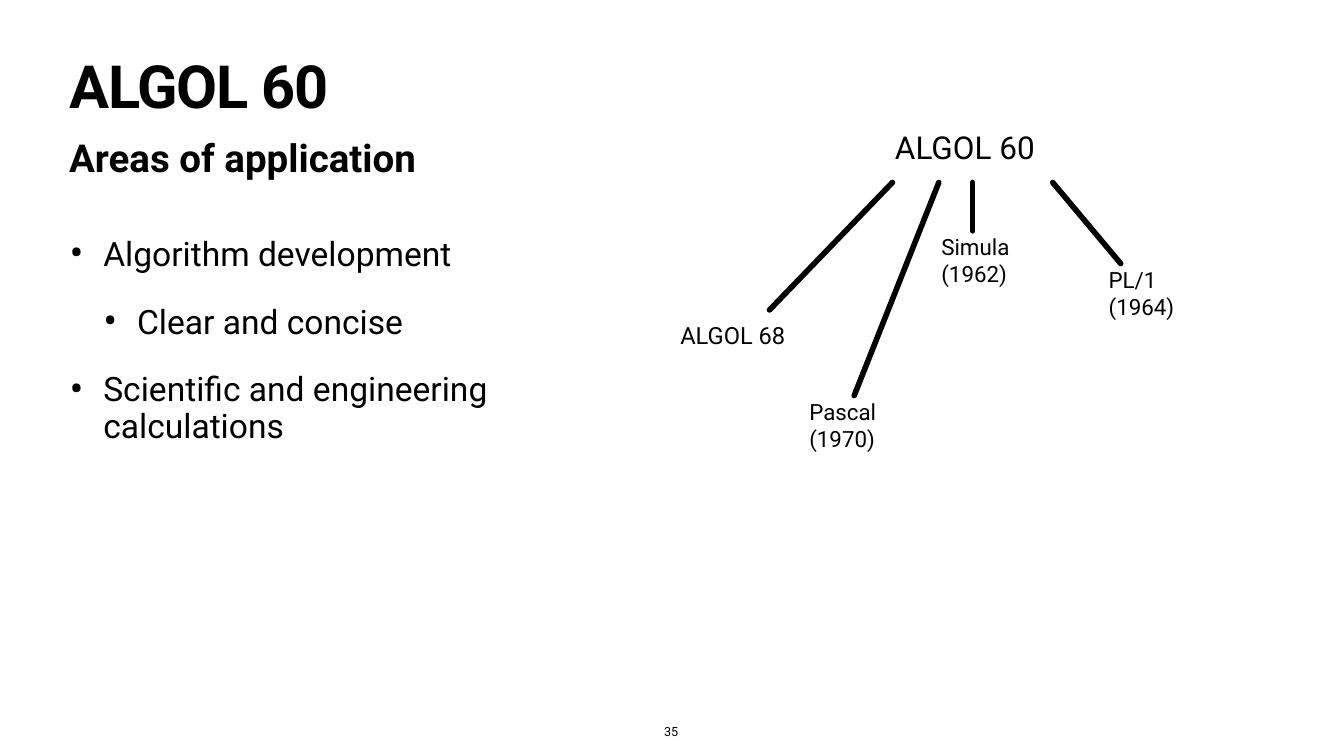
from dataclasses import dataclass

import pptx
import pptx.dml.color
import pptx.enum.shapes
import pptx.enum.text
import pptx.oxml
import pptx.oxml.ns
import pptx.util
from pptx.util import Inches


@dataclass(frozen=True)
class Theme:
    font: str = "Roboto"
    ink: pptx.dml.color.RGBColor = pptx.dml.color.RGBColor(0, 0, 0)
    paper: pptx.dml.color.RGBColor = pptx.dml.color.RGBColor(255, 255, 255)
    title: float = 85
    subtitle: float = 55
    body: float = 48
    root: float = 45
    sibling: float = 33.8
    leaf: float = 31.9
    number: float = 18
    branch: float = 8


THEME = Theme()


def add_frame(page, box, inset):
    left, top, width, height = box
    shape = page.shapes.add_textbox(Inches(left), Inches(top), Inches(width), Inches(height))
    frame = shape.text_frame
    frame.word_wrap = True
    frame.margin_left = frame.margin_right = Inches(inset)
    frame.margin_top = frame.margin_bottom = Inches(inset)
    return frame


def add_span(para, text, size, bold=False):
    span = para.add_run()
    span.text = text
    span.font.name = THEME.font
    span.font.size = pptx.util.Pt(size)
    span.font.bold = bold
    span.font.color.rgb = THEME.ink


def add_label(page, box, text, size, bold=False, inset=0.05):
    """Add a one-paragraph text box and return its frame."""
    frame = add_frame(page, box, inset)
    add_span(frame.paragraphs[0], text, size, bold)
    return frame


def add_heading(page, box, title, subtitle):
    left, top, width, _ = box
    frame = add_label(page, (left, top, width, 1.57), title, THEME.title, True, 0.06)
    para = frame.paragraphs[0]
    para.line_spacing = 0.8
    para.runs[0].font._element.set("spc", "-170")
    add_label(page, (left, top + 1.42, width, 1.02), subtitle, THEME.subtitle, True)


def add_bullets(page, box, items):
    """Fill the box with (level, text) bullet items."""
    indent = Inches(0.67)
    bullet = (
        ("a:buSzPct", {"val": "123000"}),
        ("a:buFont", {"typeface": THEME.font}),
        ("a:buChar", {"char": "•"}),
    )
    frame = add_frame(page, box, 0.06)
    for index, (level, text) in enumerate(items):
        para = frame.add_paragraph() if index else frame.paragraphs[0]
        para.level = level
        para.line_spacing = 0.9
        para.space_before = pptx.util.Pt(45 if index else 0)
        props = para._p.get_or_add_pPr()
        props.set("marL", str(indent * (level + 1)))
        props.set("indent", str(-indent))
        for tag, values in bullet:
            props.append(props.makeelement(pptx.oxml.ns.qn(tag), values))
        para.font.name = THEME.font
        para.font.size = pptx.util.Pt(THEME.body)
        add_span(para, text, THEME.body)


def add_branch(page, start, end):
    line = page.shapes.add_connector(
        pptx.enum.shapes.MSO_CONNECTOR.STRAIGHT, *map(Inches, start + end))
    line.line.color.rgb = THEME.ink
    line.line.width = pptx.util.Pt(THEME.branch)
    line.line._get_or_add_ln().set("cap", "rnd")
    props = line._element.spPr
    props.append(props.makeelement(pptx.oxml.ns.qn("a:effectLst"), {}))


def add_family_tree(page, box, root, children):
    """Draw the root and its (text, size, label place, branch start, branch end x)."""
    left, top, _, _ = box
    fork = top + 1.13
    add_label(page, (left + 4.26, top, 3.18, 1.19), root, THEME.root)
    for text, size, (x, y), (start_x, start_y), end_x in children:
        add_label(page, (left + x, top + y, 2.36, 1.19), text, size)
        add_branch(page, (left + start_x, top + start_y), (left + end_x, fork))


def add_page_number(page, box, number):
    frame = add_label(page, box, number, THEME.number, inset=0.06)
    frame.vertical_anchor = pptx.enum.text.MSO_ANCHOR.BOTTOM
    frame.paragraphs[0].alignment = pptx.enum.text.PP_ALIGN.CENTER


def main():
    deck = pptx.Presentation()
    deck.slide_width, deck.slide_height = Inches(26.67), Inches(15)
    page = deck.slides.add_slide(deck.slide_layouts[6])
    page.background.fill.solid()
    page.background.fill.fore_color.rgb = THEME.paper

    add_heading(page, (1.32, 1.18, 10.69, 2.44), "ALGOL 60", "Areas of application")
    add_bullets(page, (1.32, 4.65, 10.69, 9.03), [
        (0, "Algorithm development"),
        (1, "Clear and concise"),
        (0, "Scientific and engineering calculations"),
    ])
    add_family_tree(page, (13.45, 2.49, 10.86, 6.55), "ALGOL 60", [
        ("ALGOL 68", THEME.sibling, (0, 3.83), (1.82, 3.66), 4.26),
        ("Pascal (1970)", THEME.leaf, (2.56, 5.36), (3.5, 5.36), 5.18),
        ("Simula (1962)", THEME.leaf, (5.18, 2.09), (5.85, 2.09), 5.85),
        ("PL/1 (1964)", THEME.leaf, (8.5, 2.74), (8.79, 2.74), 7.44),
    ])
    add_page_number(page, (13.07, 14.31, 0.5, 0.41), "35")
    deck.save("out.pptx")


if __name__ == "__main__":
    main()
